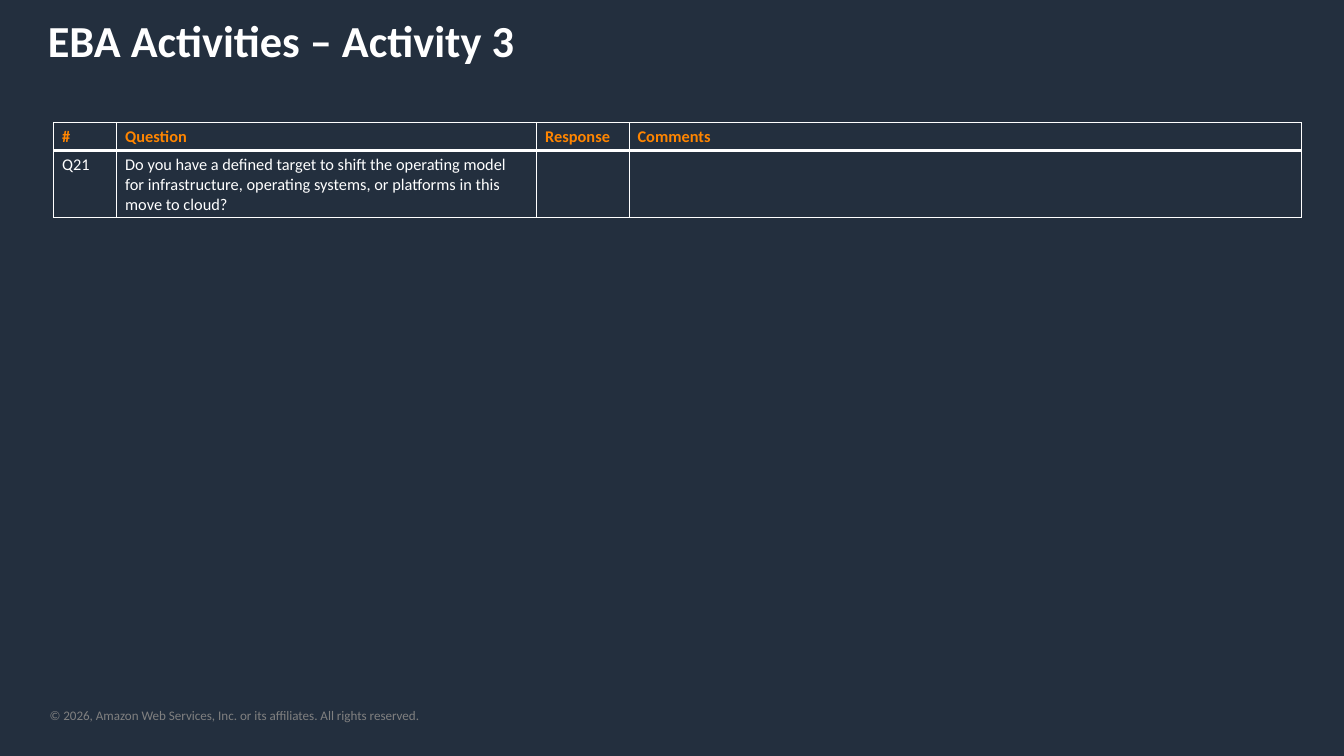
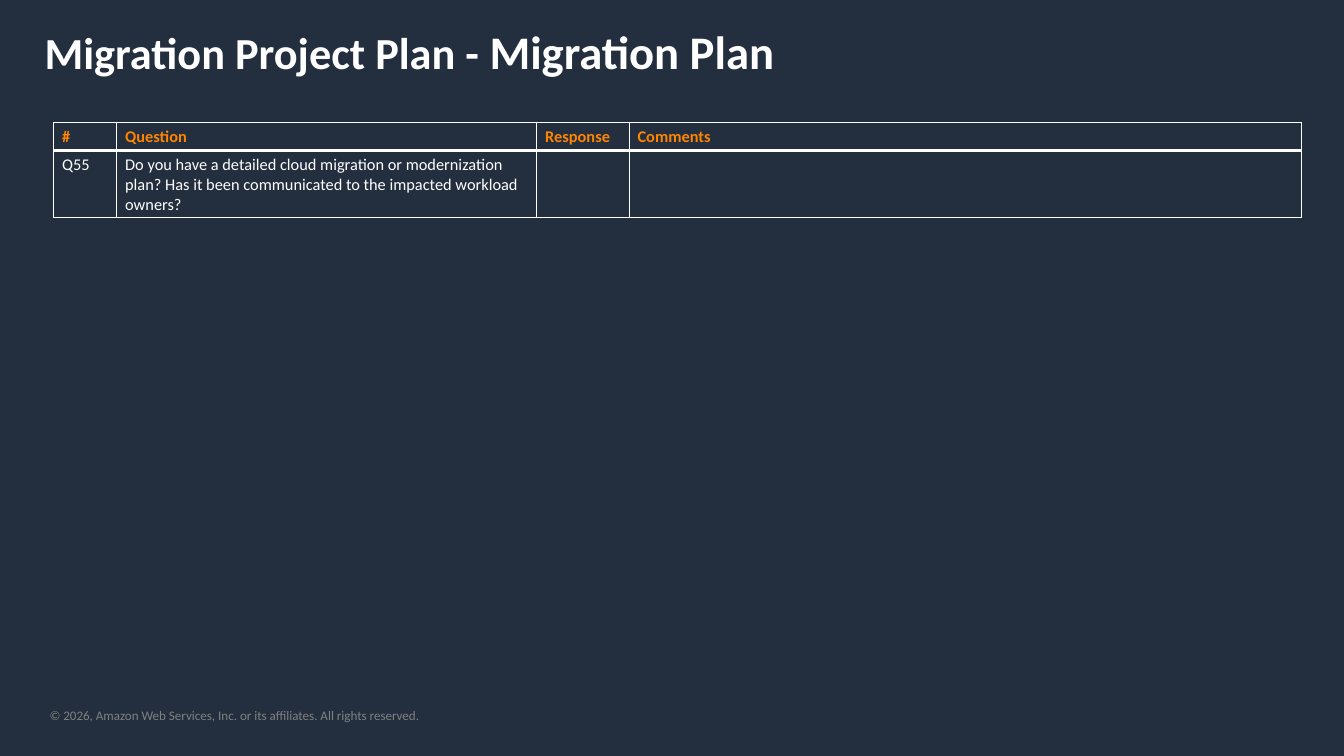
from dataclasses import dataclass

from lxml.etree import SubElement
from pptx import Presentation
from pptx.dml.color import RGBColor
from pptx.enum.text import MSO_ANCHOR, MSO_AUTO_SIZE, PP_ALIGN
from pptx.oxml.ns import qn
from pptx.util import Inches, Pt

# Shared style
FONT = "Calibri"
NAVY, WHITE, ORANGE, GREY = "232F3E", "FFFFFF", "FF8500", "808080"
COPYRIGHT = "© 2026, Amazon Web Services, Inc. or its affiliates. All rights reserved."
HEADINGS = ("#", "Question", "Response", "Comments")
COLUMN_WIDTHS = (0.75, 5, 1.1, 8)
ROW_HEIGHT = 0.28
TITLE_ONLY = 5


@dataclass(frozen=True)
class TitleRun:
    text: str
    size: float = 38


@dataclass(frozen=True)
class QuestionSlide:
    title: tuple[TitleRun, ...]
    title_box: tuple[float, float, float, float]
    number: str
    question: str


QUESTION_SLIDES = (
    QuestionSlide(
        (TitleRun("EBA Activities – Activity 3"),),
        (0.47, 0.11, 15.26, 0.74),
        "Q21",
        "Do you have a defined target to shift the operating model for "
        "infrastructure, operating systems, or platforms in this move to cloud?",
    ),
    QuestionSlide(
        (TitleRun("Migration Project Plan - "), TitleRun("Migration Plan", 40)),
        (0.43, 0.22, 15.28, 0.77),
        "Q55",
        "Do you have a detailed cloud migration or modernization plan? "
        "Has it been communicated to the impacted workload owners?",
    ),
)


def rgb(color: str) -> RGBColor:
    return RGBColor.from_string(color)


def style_run(run, size: float, color: str, bold: bool = False) -> None:
    run.font.name = FONT
    run.font.size = Pt(size)
    run.font.bold = bold
    run.font.color.rgb = rgb(color)


def add_title(slide, content: QuestionSlide) -> None:
    title = slide.shapes.title
    title.left, title.top, title.width, title.height = map(Inches, content.title_box)
    frame = title.text_frame
    frame.auto_size = MSO_AUTO_SIZE.SHAPE_TO_FIT_TEXT
    frame.vertical_anchor = MSO_ANCHOR.TOP
    paragraph = frame.paragraphs[0]
    paragraph.alignment = PP_ALIGN.LEFT
    for part in content.title:
        run = paragraph.add_run()
        run.text = part.text
        style_run(run, part.size, WHITE, bold=True)


def add_footer(slide) -> None:
    footer = slide.shapes.add_textbox(*map(Inches, (0.59, 8.42, 7.78, 0.19)))
    frame = footer.text_frame
    frame.word_wrap = True
    frame.auto_size = MSO_AUTO_SIZE.SHAPE_TO_FIT_TEXT
    frame.margin_left = frame.margin_right = frame.margin_top = frame.margin_bottom = 0
    frame.text = COPYRIGHT
    style_run(frame.paragraphs[0].runs[0], 11.2, GREY)


def set_borders(cell, bottom: float) -> None:
    # Border elements must come before the cell's fill
    properties = cell._tc.get_or_add_tcPr()
    sides = (("a:lnL", 1), ("a:lnR", 1), ("a:lnT", 1), ("a:lnB", bottom))
    for position, (side, width) in enumerate(sides):
        border = SubElement(properties, qn(side), w=str(Pt(width)))
        solid = SubElement(border, qn("a:solidFill"))
        SubElement(solid, qn("a:srgbClr"), val=WHITE)
        properties.insert(position, border)


def add_question_table(slide, content: QuestionSlide) -> None:
    rows = (HEADINGS, (content.number, content.question, "", ""))
    table = slide.shapes.add_table(
        len(rows), len(HEADINGS), Inches(0.64), Inches(1.46),
        Inches(sum(COLUMN_WIDTHS)), Inches(ROW_HEIGHT * len(rows)),
    ).table
    table.horz_banding = False
    for column, width in zip(table.columns, COLUMN_WIDTHS):
        column.width = Inches(width)
    for row_index, texts in enumerate(rows):
        is_header = row_index == 0
        for column_index, text in enumerate(texts):
            cell = table.cell(row_index, column_index)
            cell.fill.background()
            set_borders(cell, bottom=3 if is_header else 1)
            paragraph = cell.text_frame.paragraphs[0]
            paragraph.text = text
            for run in paragraph.runs:
                style_run(run, 14, ORANGE if is_header else WHITE, bold=is_header)


def main() -> None:
    presentation = Presentation()
    presentation.slide_width, presentation.slide_height = Inches(16), Inches(9)
    background = presentation.slide_master.background.fill
    background.solid()
    background.fore_color.rgb = rgb(NAVY)

    for content in QUESTION_SLIDES:
        slide = presentation.slides.add_slide(presentation.slide_layouts[TITLE_ONLY])
        add_footer(slide)
        add_title(slide, content)
        add_question_table(slide, content)
    presentation.save("out.pptx")


if __name__ == "__main__":
    main()
